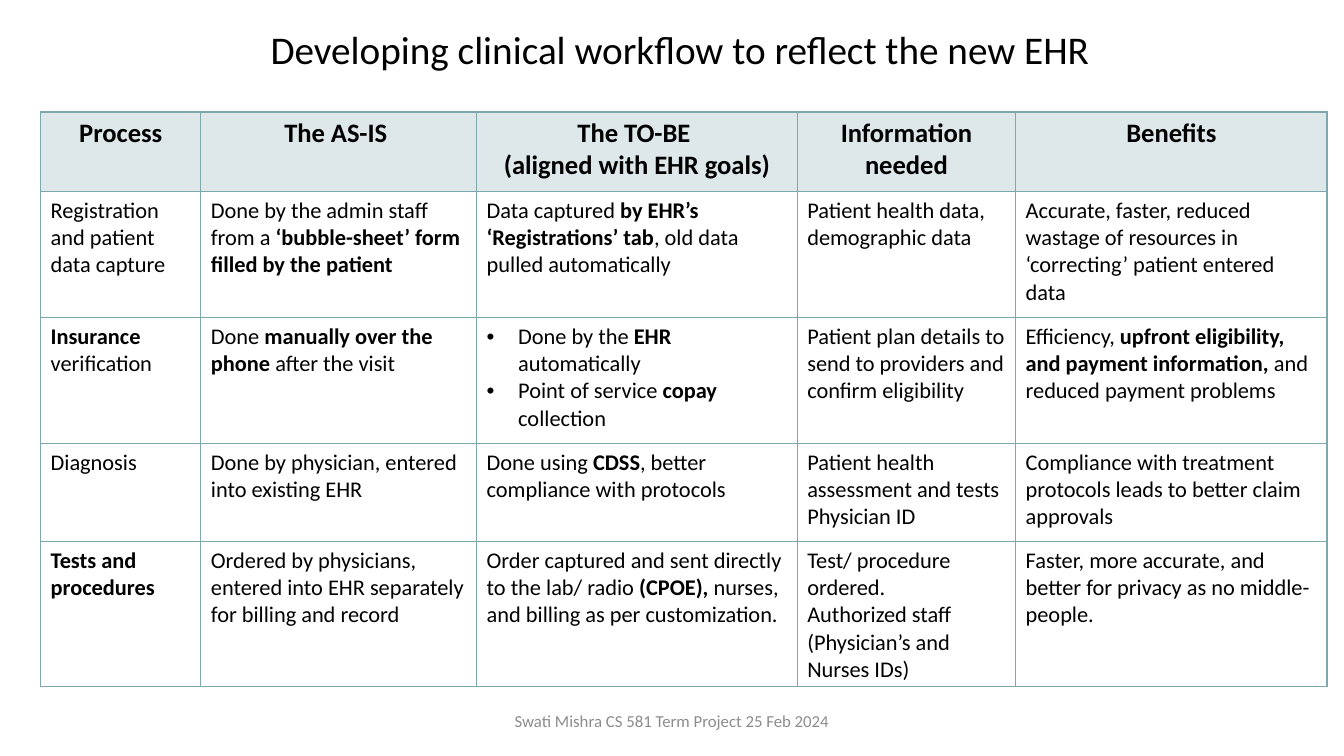
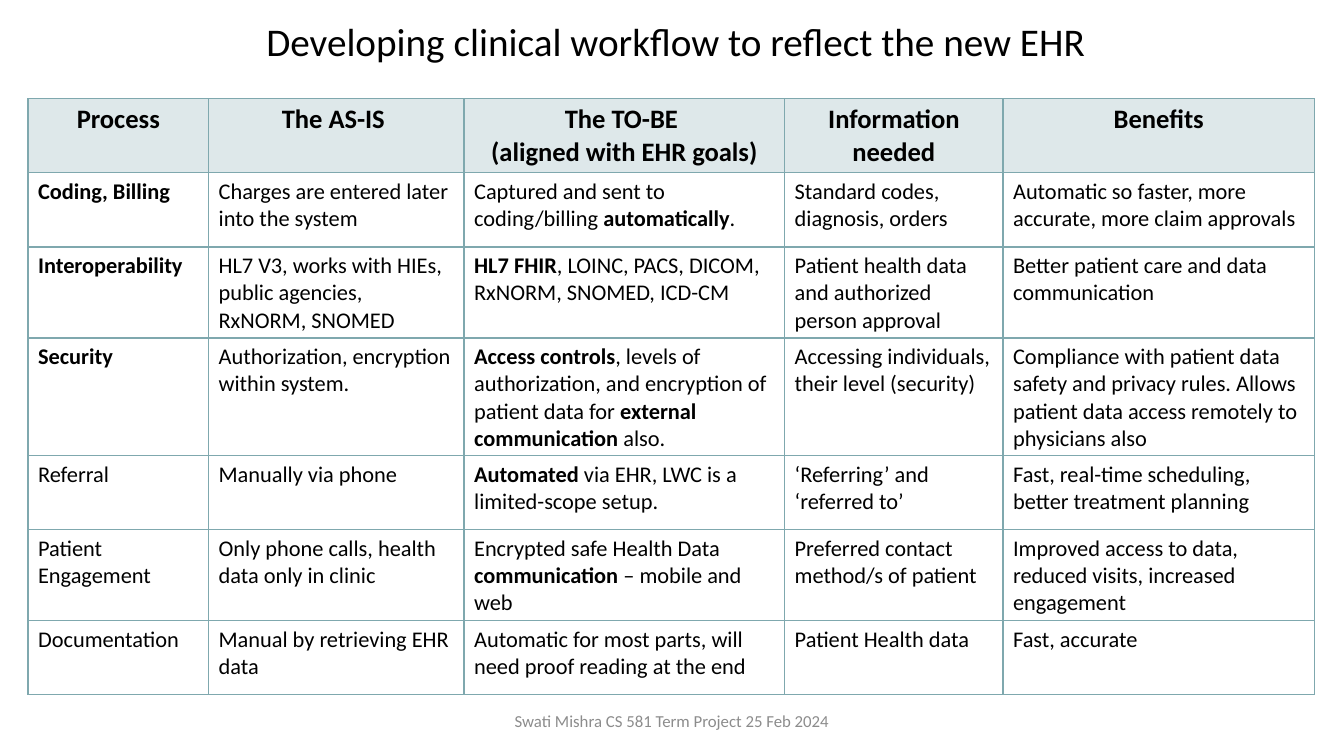
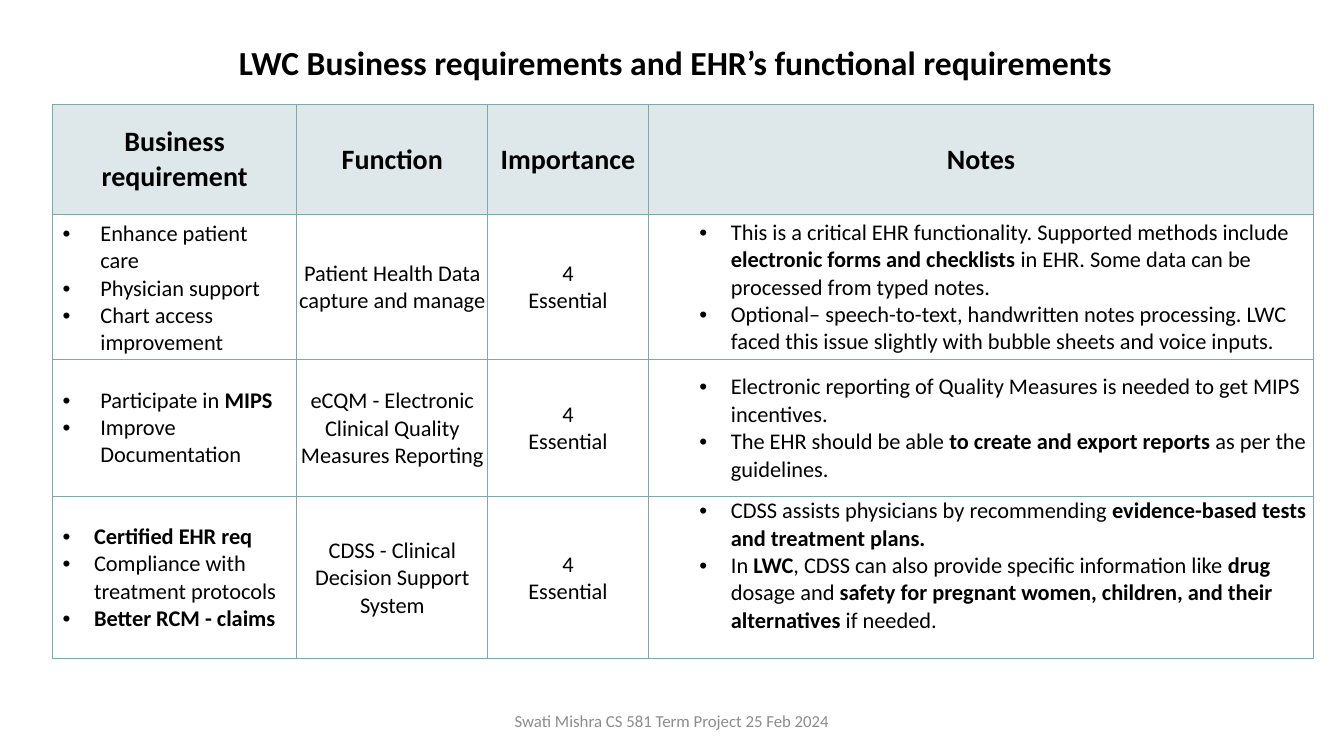
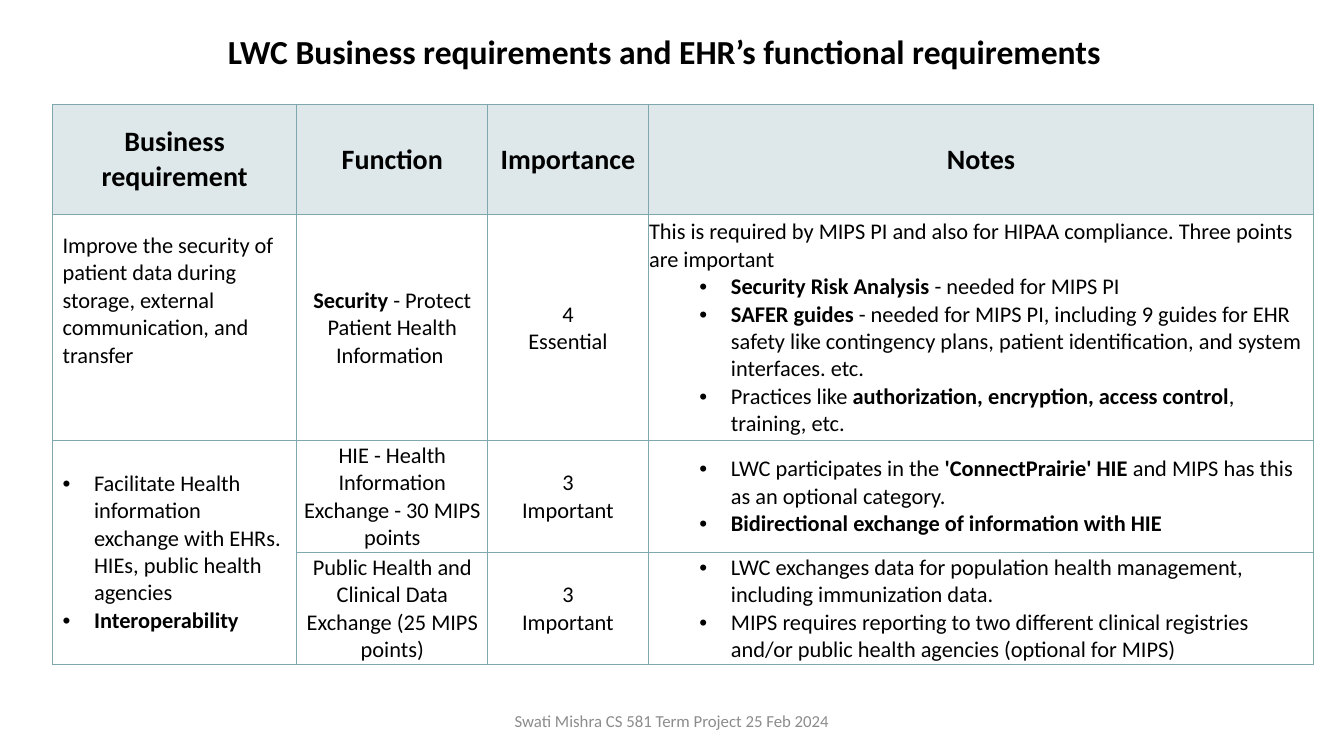
import dataclasses

import lxml.etree
import pptx
import pptx.dml.color
import pptx.enum.text
import pptx.oxml.ns
import pptx.util

Pt = pptx.util.Pt
Align = pptx.enum.text.PP_ALIGN
Anchor = pptx.enum.text.MSO_ANCHOR
LEFT, MID = Align.LEFT, Align.CENTER


@dataclasses.dataclass(frozen=True)
class Theme:
    font: str = "Calibri"
    dot: str = "Arial"     # font of the bullets
    ink: str = "000000"
    grey: str = "8C8C8C"
    head: str = "DEE8EA"
    rule: str = "7FA8AE"
    line: float = 1
    body: float = 16
    small: float = 12
    flow: float = 28       # title of a workflow slide
    need: float = 24       # title of a requirements slide
    flowhead: float = 19
    needhead: float = 20


THEME = Theme()
FOOT = "Swati Mishra CS 581 Term Project 25 Feb 2024"

# Cell formats
PAD = (7.2, 3.6, 7.2, 3.6)
TIGHT = (0.7, 0.7, 0.7, 0)
TOP = dict(anchor=Anchor.TOP, hang=22.5, left=22.5)
LIST = dict(anchor=Anchor.MIDDLE, hang=22.5, left=22.5)
MARK = dict(anchor=Anchor.MIDDLE, pad=TIGHT, align=MID)
NOTE = dict(anchor=Anchor.MIDDLE, pad=TIGHT, hang=22.5, left=58.5, level=1)
WIDE = dict(LIST, hang=27, left=27)


def child(node, tag, **attrs):
    return lxml.etree.SubElement(node, pptx.oxml.ns.qn(tag), attrs)


def write(frame, text, size=THEME.body, color=THEME.ink, bold=False,
          align=LEFT, left=0, hang=0, level=0):
    """Fill a frame: a line is a paragraph, "• " a bullet, ** marks bold."""
    frame.word_wrap = True
    for i, line in enumerate(text.split("\n")):
        para = frame.add_paragraph() if i else frame.paragraphs[0]
        para.alignment = align
        if line.startswith("• "):
            line = line[2:]
            para.level = level
            props = para._p.get_or_add_pPr()
            props.set("marL", str(Pt(left)))
            props.set("indent", str(-Pt(hang)))
            child(props, "a:buFont", typeface=THEME.dot)
            child(props, "a:buChar", char="•")
        for j, part in enumerate(line.split("**")):
            if part:
                run = para.add_run()
                run.text = part
                font = run.font
                font.name, font.size = THEME.font, Pt(size)
                font.bold = bold or j % 2 == 1
                font.color.rgb = pptx.dml.color.RGBColor.from_string(color)


def title(slide, box, text, **form):
    shape = slide.shapes.title
    shape.left, shape.top, shape.width, shape.height = map(Pt, box)
    frame = shape.text_frame
    frame.auto_size = pptx.enum.text.MSO_AUTO_SIZE.NONE
    frame.vertical_anchor = Anchor.TOP
    write(frame, text, **form)


def footer(slide, box):
    frame = slide.shapes.add_textbox(*map(Pt, box)).text_frame
    frame.vertical_anchor = Anchor.MIDDLE
    write(frame, FOOT, size=THEME.small, color=THEME.grey, align=MID)


def border(cell):
    props = cell._tc.get_or_add_tcPr()
    for side in "LRTB":
        edge = child(props, "a:ln" + side, w=str(Pt(THEME.line)))
        child(child(edge, "a:solidFill"), "a:srgbClr", val=THEME.rule)


def put(cell, text, anchor, pad=PAD, fill=None, **form):
    """Format one cell and write its text."""
    border(cell)
    if fill:
        cell.fill.solid()
        cell.fill.fore_color.rgb = pptx.dml.color.RGBColor.from_string(fill)
    else:
        cell.fill.background()
    cell.vertical_anchor = anchor
    (cell.margin_left, cell.margin_top,
     cell.margin_right, cell.margin_bottom) = map(Pt, pad)
    if text:
        write(cell.text_frame, text, **form)


def grid(slide, spot, cols, rows, data, head, forms, extra):
    """Table at a spot; forms go by column, extra by (row, column)."""
    shape = slide.shapes.add_table(len(rows), len(cols), *map(Pt, spot),
                                   Pt(sum(cols)), Pt(sum(rows)))
    table = shape.table
    table.horz_banding = False
    for col, width in zip(table.columns, cols):
        col.width = Pt(width)
    for row, height in zip(table.rows, rows):
        row.height = Pt(height)
    for r, line in enumerate(data):
        for c, text in enumerate(line):
            form = {**forms[c], **extra.get((r, c), {})} if r else head
            put(table.cell(r, c), text, **form)
            if text is None:  # joined to the cell above
                table.cell(r - 1, c).merge(table.cell(r, c))


def page(deck):
    slide = deck.slides.add_slide(deck.slide_layouts[5])
    footer(slide, (318, 500.5, 324, 29))
    return slide


# Workflow slides
FLOWHEAD = ("Process", "The AS-IS ", "The TO-BE \n(aligned with EHR goals)",
            "Information needed", "Benefits")


def flow(deck, place, spot, cols, rows, data):
    slide = page(deck)
    title(slide, (*place, 919.5, 41),
          "Developing clinical workflow to reflect the new EHR ",
          size=THEME.flow, align=MID)
    head = dict(anchor=Anchor.TOP, fill=THEME.head, size=THEME.flowhead,
                bold=True, align=MID)
    grid(slide, spot, cols, rows, [FLOWHEAD] + data, head,
         [TOP] * len(cols), {})


# Requirements slides
NEEDHEAD = ("Business requirement", "Function", "Importance", "Notes")
NEEDCOLS = (174.5, 136.5, 114.5, 475.5)


def need(deck, place, rows, data, extra):
    slide = page(deck)
    title(slide, (*place, 649, 36),
          "LWC Business requirements and EHR’s functional requirements",
          size=THEME.need, bold=True)
    head = dict(anchor=Anchor.MIDDLE, fill=THEME.head, size=THEME.needhead,
                bold=True, align=MID)
    grid(slide, (37.5, 74.5), NEEDCOLS, rows, [NEEDHEAD] + data, head,
         [LIST, MARK, MARK, NOTE], extra)


VISIT = [
    ("Registration and patient data capture",
     "Done by the admin staff from a **‘bubble-sheet’ form filled by the patient**",
     "Data captured **by EHR’s ‘Registrations’ tab**, old data pulled automatically",
     "Patient health data, demographic data",
     "Accurate, faster, reduced wastage of resources in ‘correcting’ patient "
     "entered data"),
    ("**Insurance** verification",
     "Done **manually over the phone **after the visit",
     "• Done by the **EHR** automatically\n"
     "• Point of service **copay **collection",
     "Patient plan details to send to providers and confirm eligibility",
     "Efficiency, **upfront eligibility, and payment information,** and reduced "
     "payment problems"),
    ("Diagnosis",
     "Done by physician, entered into existing EHR",
     "Done using **CDSS**, better compliance with protocols",
     "Patient health assessment and tests\nPhysician ID",
     "Compliance with treatment protocols leads to better claim approvals"),
    ("**Tests and procedures**",
     "Ordered by physicians, entered into EHR separately for billing and record",
     "Order captured and sent directly to the lab/ radio **(CPOE), **nurses, "
     "and billing as per customization.",
     "Test/ procedure ordered.\nAuthorized staff (Physician’s and Nurses IDs)",
     "Faster, more accurate, and better for privacy as no middle-people."),
]
OFFICE = [
    ("**Coding, Billing**",
     "Charges are entered later into the system",
     "Captured and sent to coding/billing **automatically**.",
     "Standard codes, diagnosis, orders",
     "Automatic so faster, more accurate, more claim approvals"),
    ("**Interoperability**",
     "HL7 V3, works with HIEs, public agencies, RxNORM, SNOMED",
     "**HL7 FHIR**, LOINC, PACS, DICOM, RxNORM, SNOMED, ICD-CM",
     "Patient health data and authorized person approval",
     "Better patient care and data communication"),
    ("**Security**",
     "Authorization, encryption within system.",
     "**Access controls**, levels of authorization, and encryption of patient "
     "data for **external communication **also.",
     "Accessing individuals, their level (security)",
     "Compliance with patient data safety and privacy rules. Allows patient "
     "data access remotely to physicians also"),
    ("Referral",
     "Manually via phone",
     "**Automated** via EHR, LWC is a limited-scope setup.",
     "‘Referring’ and ‘referred to’",
     "Fast, real-time scheduling, better treatment planning"),
    ("Patient Engagement",
     "Only phone calls, health data only in clinic",
     "Encrypted safe Health Data **communication** – mobile and web",
     "Preferred contact method/s of patient",
     "Improved access to data, reduced visits, increased engagement"),
    ("Documentation",
     "Manual by retrieving EHR data",
     "Automatic for most parts, will need proof reading at the end",
     "Patient Health data",
     "Fast, accurate"),
]
MUST, GOOD = "4\nEssential", "3\nImportant"
CARE = [
    ("• Enhance patient care\n• Physician support\n• Chart access improvement",
     "Patient Health Data capture and manage", MUST,
     "• This is a critical EHR functionality. Supported methods include "
     "**electronic forms and checklists **in EHR. Some data can be processed "
     "from typed notes.\n"
     "• Optional– speech-to-text, handwritten notes processing. LWC faced this "
     "issue slightly with bubble sheets and voice inputs."),
    ("• Participate in **MIPS**\n• Improve Documentation",
     "eCQM - Electronic Clinical Quality Measures Reporting", MUST,
     "• Electronic reporting of Quality Measures is needed to get MIPS "
     "incentives.\n"
     "• The EHR should be able **to create and export reports **as per the "
     "guidelines."),
    ("• **Certified EHR req**\n• Compliance with treatment protocols\n"
     "• **Better RCM - claims**",
     "CDSS - Clinical Decision Support System", MUST,
     "• CDSS assists physicians by recommending **evidence-based tests and "
     "treatment plans.**\n"
     "• In **LWC**, CDSS can also provide specific information like **drug** "
     "dosage and **safety for pregnant women, children, and their "
     "alternatives** if needed."),
]
SHARE = [
    ("Improve the security of patient data during storage, external "
     "communication, and transfer",
     "**Security** - Protect Patient Health Information ", MUST,
     "This is required by MIPS PI and also for HIPAA compliance. Three points "
     "are important\n"
     "• **Security Risk Analysis** - needed for MIPS PI\n"
     "• **SAFER guides** - needed for MIPS PI, including 9 guides for EHR "
     "safety like contingency plans, patient identification, and system "
     "interfaces. etc.\n"
     "• Practices like **authorization, encryption, access control**, "
     "training, etc."),
    ("• Facilitate Health information exchange with EHRs. HIEs, public health "
     "agencies\n• **Interoperability**",
     "HIE - Health Information Exchange - 30 MIPS points", GOOD,
     "• LWC participates in the **'ConnectPrairie' HIE** and MIPS has this as "
     "an optional category.\n"
     "• **Bidirectional exchange of information with HIE**"),
    (None,
     "Public Health and Clinical Data Exchange (25 MIPS points)", GOOD,
     "• LWC exchanges data for population health management, including "
     "immunization data.\n"
     "• MIPS requires reporting to two different clinical registries and/or "
     "public health agencies (optional for MIPS)"),
]


def main():
    deck = pptx.Presentation()
    deck.slide_width, deck.slide_height = Pt(960), Pt(540)
    flow(deck, (29, 14.5), (29, 80), (114.5, 197, 229, 156, 222.5),
         (57, 90, 90, 70, 102.5), VISIT)
    flow(deck, (26, 8.5), (20, 70.5), (129, 182.5, 229, 156, 222.5),
         (53, 53, 65, 83.5, 53, 65, 52.5), OFFICE)
    need(deck, (163.5, 26), (79, 103, 98, 116), CARE,
         {(1, 0): WIDE, (2, 0): WIDE, (3, 3): dict(pad=(0.7, 0.7, 0.7, 18))})
    need(deck, (155.5, 18.5), (79, 161, 80, 80), SHARE,
         {(1, 0): dict(pad=(7.2, 3.6, 7.2, 42))})
    deck.save("out.pptx")


if __name__ == "__main__":
    main()
